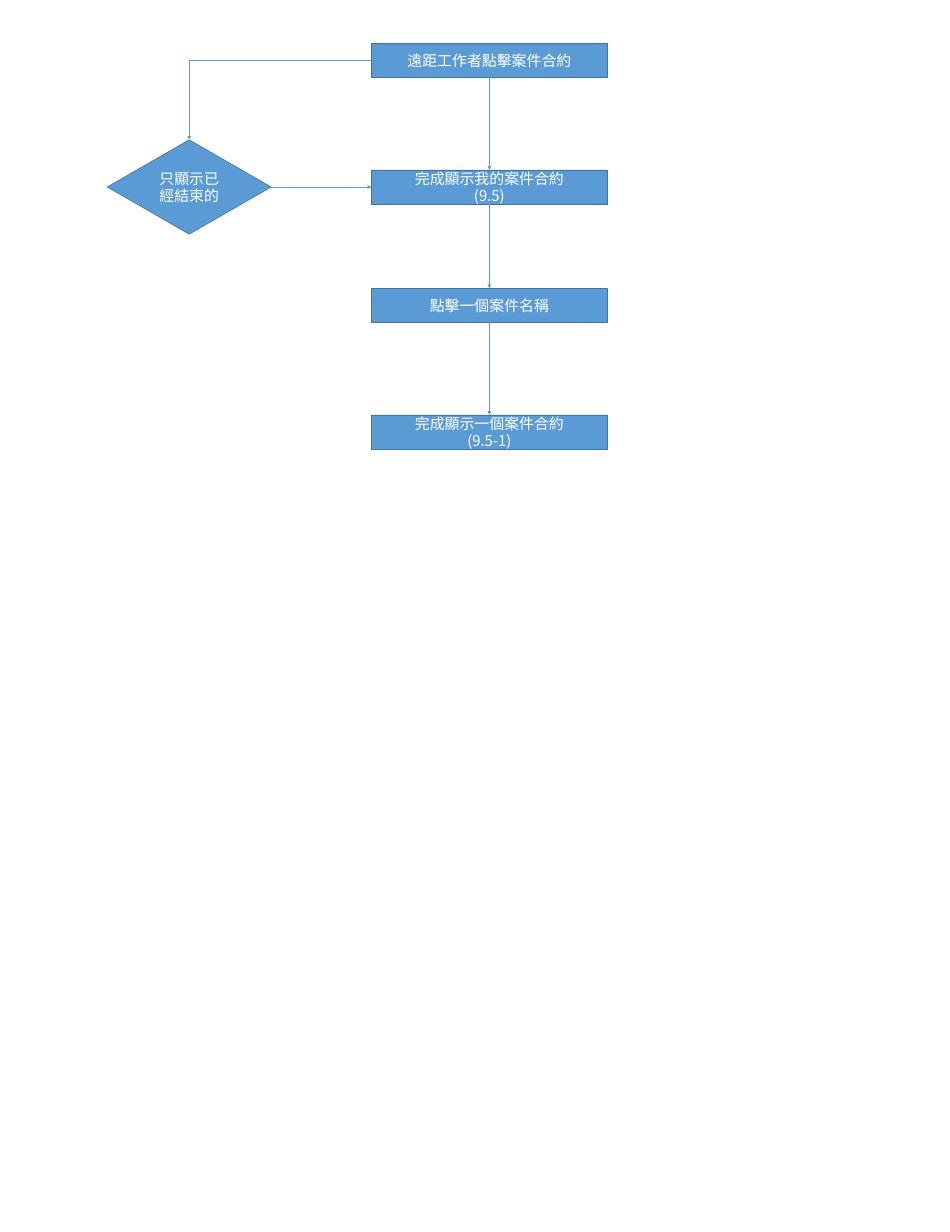
from lxml import etree
from pptx import Presentation
from pptx.dml.color import RGBColor
from pptx.enum.shapes import MSO_CONNECTOR, MSO_SHAPE
from pptx.enum.text import MSO_ANCHOR, PP_ALIGN
from pptx.oxml.ns import qn
from pptx.util import Pt

RECTANGLE, DIAMOND = MSO_SHAPE.RECTANGLE, MSO_SHAPE.DIAMOND
STRAIGHT, ELBOW = MSO_CONNECTOR.STRAIGHT, MSO_CONNECTOR.ELBOW
MIDDLE, CENTER = MSO_ANCHOR.MIDDLE, PP_ALIGN.CENTER
BLUE = RGBColor(0x5B, 0x9B, 0xD5)
DARK_BLUE = RGBColor(0x43, 0x73, 0x9E)
WHITE = RGBColor(0xFF, 0xFF, 0xFF)
CJK_FONT = "Noto Sans CJK SC"
LATIN_FONT = "Calibri"
TOP, LEFT, BOTTOM, RIGHT = range(4)

STEP_LEFT, STEP_WIDTH, STEP_HEIGHT = 598.5, 380, 55.2
STEPS = [
    (69.6, "遠距工作者點擊案件合約"),
    (273.6, "完成顯示我的案件合約\n(9.5)"),
    (464.2, "點擊一個案件名稱"),
    (668.2, "完成顯示一個案件合約\n(9.5-1)"),
]


def add_node(kind, left, top, width, height, text, font_name):
    node = slide.shapes.add_shape(kind, Pt(left), Pt(top), Pt(width), Pt(height))
    node.shadow.inherit = False
    node.fill.solid()
    node.fill.fore_color.rgb = BLUE
    node.line.color.rgb = DARK_BLUE
    node.line.width = Pt(1)
    frame = node.text_frame
    frame.word_wrap = True
    frame.vertical_anchor = MIDDLE
    frame.text = text
    for paragraph in frame.paragraphs:
        paragraph.alignment = CENTER
        for run in paragraph.runs:
            run.font.size = Pt(24)
            run.font.color.rgb = WHITE
            run.font.name = font_name
            east_asian = etree.SubElement(run.font._element, qn("a:ea"))
            east_asian.set("typeface", CJK_FONT)
    return node


def add_arrow(kind, source, source_site, target, target_site):
    arrow = slide.shapes.add_connector(kind, 0, 0, 0, 0)
    arrow.begin_connect(source, source_site)
    arrow.end_connect(target, target_site)
    arrow.line.color.rgb = BLUE
    arrow.line.width = Pt(0.5)
    properties = arrow.element.spPr
    head = etree.SubElement(properties.find(qn("a:ln")), qn("a:tailEnd"))
    head.set("type", "triangle")
    etree.SubElement(properties, qn("a:effectLst"))
    return arrow


presentation = Presentation()
presentation.slide_width = Pt(1530.72)
presentation.slide_height = Pt(1984.32)
slide = presentation.slides.add_slide(presentation.slide_layouts[6])

steps = [
    add_node(RECTANGLE, STEP_LEFT, top, STEP_WIDTH, STEP_HEIGHT, text, CJK_FONT)
    for top, text in STEPS
]
ended_only = add_node(DIAMOND, 172.8, 225.2, 264.2, 152, "只顯示已經結束的", LATIN_FONT)

for step, next_step in zip(steps, steps[1:]):
    add_arrow(STRAIGHT, step, BOTTOM, next_step, TOP)
add_arrow(STRAIGHT, ended_only, RIGHT, steps[1], LEFT)
filter_arrow = add_arrow(ELBOW, steps[0], LEFT, ended_only, TOP)
filter_arrow.element.spPr.find(qn("a:prstGeom")).set("prst", "bentConnector2")

presentation.save("out.pptx")
